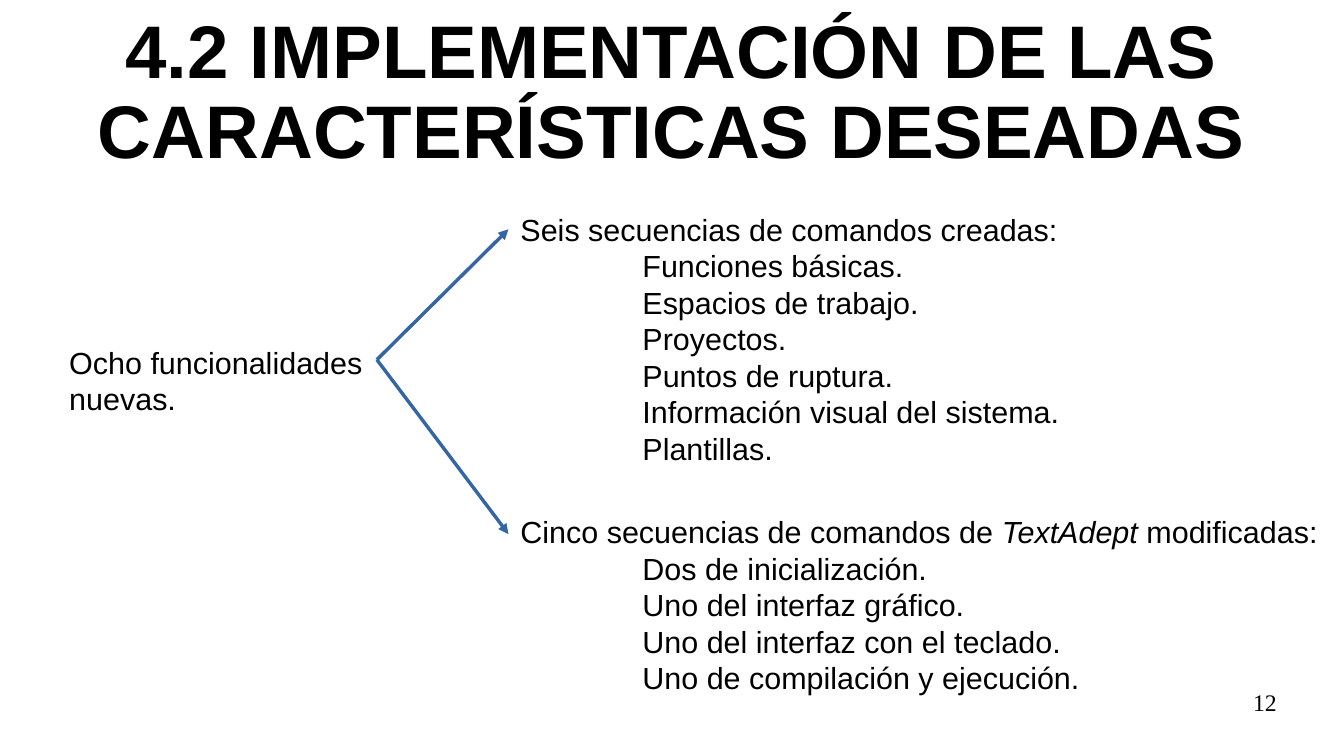
import pptx
import pptx.dml.color
import pptx.enum.shapes
import pptx.enum.text
import pptx.oxml
import pptx.oxml.ns
import pptx.util

Pt = pptx.util.Pt
ALIGN = pptx.enum.text.PP_ALIGN
ANCHOR = pptx.enum.text.MSO_ANCHOR
BLACK = pptx.dml.color.RGBColor(0x00, 0x00, 0x00)
BLUE = pptx.dml.color.RGBColor(0x34, 0x65, 0xA4)
WHITE = pptx.dml.color.RGBColor(0xFF, 0xFF, 0xFF)
LINE_PITCH = 21.55
ITEM_INDENT = 72
INSET = (7.2, 3.6)

CREATED = ["Funciones básicas.", "Espacios de trabajo.", "Proyectos.", "Puntos de ruptura.",
           "Información visual del sistema.", "Plantillas."]
MODIFIED = ["Dos de inicialización.", "Uno del interfaz gráfico.",
            "Uno del interfaz con el teclado.", "Uno de compilación y ejecución."]


def add_text(paragraph, text, size=18, font="Arial", bold=False, italic=False,
             align=ALIGN.LEFT, pitch=LINE_PITCH, indent=0):
    if indent:
        properties = paragraph._p.get_or_add_pPr()
        properties.set("marL", str(Pt(indent)))
        properties.set("indent", "0")
    paragraph.alignment = align
    paragraph.line_spacing = Pt(pitch)
    paragraph.space_before = Pt(0)
    run = paragraph.add_run()
    run.text = text
    run.font.size = Pt(size)
    run.font.name = font
    run.font.bold = bold
    run.font.italic = italic
    run.font.color.rgb = BLACK


def set_frame(frame, inset=INSET, anchor=ANCHOR.TOP):
    frame.margin_left = frame.margin_right = Pt(inset[0])
    frame.margin_top = frame.margin_bottom = Pt(inset[1])
    frame.vertical_anchor = anchor
    frame.word_wrap = True
    frame.auto_size = pptx.enum.text.MSO_AUTO_SIZE.NONE
    return frame


def add_box(slide, box, inset=INSET):
    shape = slide.shapes.add_textbox(*map(Pt, box))
    return set_frame(shape.text_frame, inset)


def place_title(slide, box, text):
    title = slide.shapes.title
    title.left, title.top, title.width, title.height = map(Pt, box)
    frame = set_frame(title.text_frame, (0, 0), ANCHOR.MIDDLE)
    add_text(frame.paragraphs[0], text, size=44, bold=True, align=ALIGN.CENTER, pitch=47.3)


def place_summary(slide, box, text):
    add_text(add_box(slide, box).paragraphs[0], text)


def place_list(slide, box, heading, items):
    frame = add_box(slide, box)
    for text, italic in heading:
        add_text(frame.paragraphs[0], text, italic=italic)
    for item in items:
        add_text(frame.add_paragraph(), item, indent=ITEM_INDENT)


def place_arrow(slide, start, end):
    connector = slide.shapes.add_connector(
        pptx.enum.shapes.MSO_CONNECTOR.STRAIGHT, *map(Pt, start + end))
    connector.line.color.rgb = BLUE
    connector.line.width = Pt(0)
    arrowhead = pptx.oxml.parse_xml(
        f'<a:tailEnd {pptx.oxml.ns.nsdecls("a")} type="triangle"/>')
    connector.line._get_or_add_ln().append(arrowhead)
    effects = pptx.oxml.parse_xml(f'<a:effectLst {pptx.oxml.ns.nsdecls("a")}/>')
    connector._element.spPr.append(effects)


def place_number(slide, box, number):
    frame = add_box(slide, box, (0, 0))
    add_text(frame.paragraphs[0], number, size=14, font="Times New Roman",
             align=ALIGN.RIGHT, pitch=16.1)


def build_slide(presentation):
    slide = presentation.slides.add_slide(presentation.slide_layouts[5])
    slide.background.fill.solid()
    slide.background.fill.fore_color.rgb = WHITE
    place_title(slide, (39.6, 5.8, 714.2, 98.6),
                "4.2 IMPLEMENTACIÓN DE LAS CARACTERÍSTICAS DESEADAS")
    place_summary(slide, (33.8, 199.4, 254, 27.4), "Ocho funcionalidades nuevas.")
    lists_left = 300.2
    place_list(slide, (lists_left, 121, 344.9, 148.3),
               [("Seis secuencias de comandos creadas:", False)], CREATED)
    place_list(slide, (lists_left, 299.5, 486.7, 108),
               [("Cinco secuencias de comandos de ", False), ("TextAdept", True),
                (" modificadas:", False)], MODIFIED)
    for arrow_end in (135.4, 315.4):
        place_arrow(slide, (222.5, 212.4), (lists_left, arrow_end))
    place_number(slide, (568.8, 406.8, 185, 31), "12")


def main():
    presentation = pptx.Presentation()
    presentation.slide_width = Pt(793.44)
    presentation.slide_height = Pt(446.4)
    build_slide(presentation)
    presentation.save("out.pptx")


if __name__ == "__main__":
    main()
